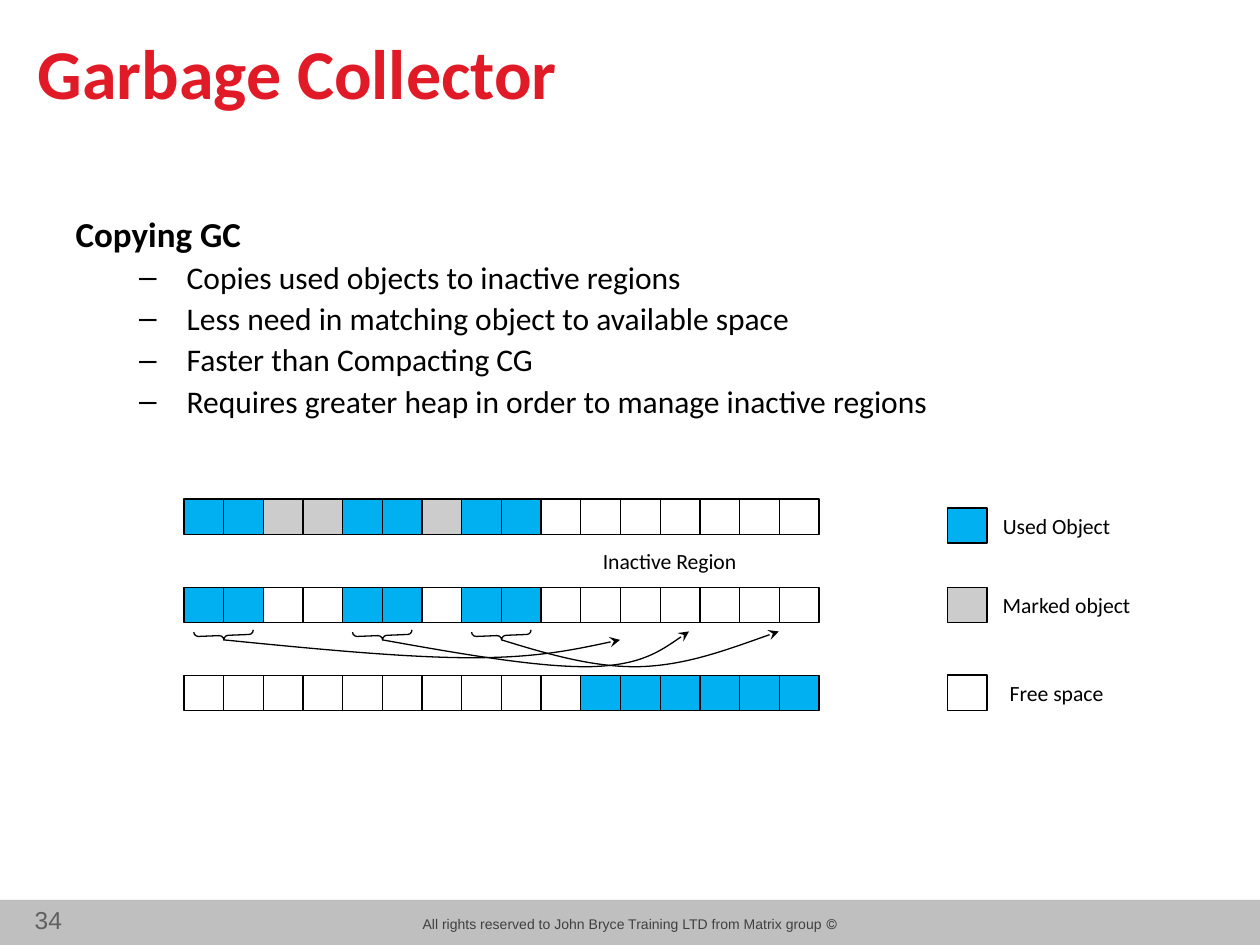
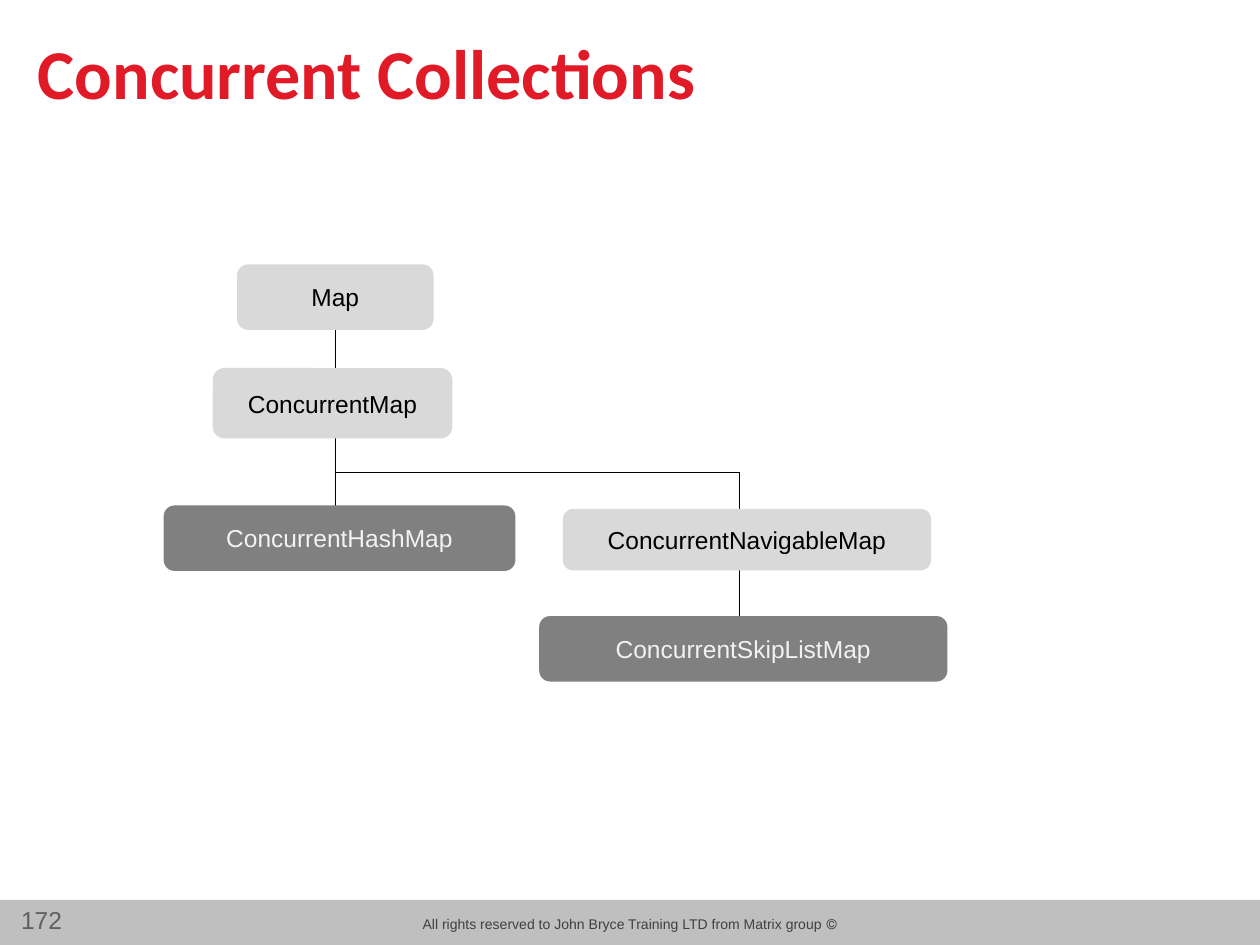
from dataclasses import dataclass

from lxml.etree import SubElement as Sub
from pptx import Presentation
from pptx.dml.color import RGBColor as RGB
from pptx.enum.shapes import MSO_CONNECTOR as Link, MSO_SHAPE as Kind
from pptx.enum.text import MSO_ANCHOR as Anchor, MSO_AUTO_SIZE as Fit, PP_ALIGN as Align
from pptx.oxml.ns import qn
from pptx.util import Cm, Pt


@dataclass(frozen=True)
class Theme:
    red: str = "E01A26"
    black: str = "000000"
    white: str = "FFFFFF"
    band: str = "BFBFBF"
    note: str = "404040"
    number: str = "606060"
    used: str = "00B0F0"
    marked: str = "CCCCCC"
    light: str = "D9D9D9"
    dark: str = "808080"
    pale: str = "F2F2F2"
    sans: str = "Calibri"
    plain: str = "Arial"
    title: float = 40
    head: float = 20
    item: float = 18
    node: float = 14
    label: float = 12.4
    small: float = 8
    line: float = 0.75


T = Theme()
COLORS = {"U": T.used, "M": T.marked, "F": T.white}

# Heap rows, in centimetres
LEFT, TOP = 3.71, 10.06
CELL_W, CELL_H = 0.8, 0.71
ROW_GAP = 1.78
ROWS = ("UUMMUUMUUFFFFFFF", "UUFFUUFUUFFFFFFF", "FFFFFFFFFFUUUUUU")

# First column of each moved pair, then the rest of its curve
MOVES = (
    (0, ((6.32, 13.08), (8.18, 13.26), (9.5, 13.26),
         (10.82, 13.26), (11.66, 13.08), (12.5, 12.9))),
    (4, ((9.27, 13.18), (10.87, 13.46), (11.91, 13.44),
         (12.93, 13.41), (13.41, 13.06), (13.89, 12.73))),
    (7, ((11.02, 13.18), (11.96, 13.46), (12.9, 13.44),
         (13.84, 13.41), (14.76, 13.06), (15.7, 12.73))),
)

# Kind, top of the box, middle of the label
LEGEND = (
    ("U", 10.24, 21.3, "Used Object"),
    ("M", 11.84, 21.5, "Marked object"),
    ("F", 13.61, 21.3, "Free space"),
)

# Name, box, whether it is a class that can be used directly
NODES = (
    ("Map", (4.78, 5.33, 3.96, 1.32), False),
    ("ConcurrentMap", (4.29, 7.42, 4.83, 1.42), False),
    ("ConcurrentHashMap", (3.3, 10.19, 7.09, 1.32), True),
    ("ConcurrentNavigableMap", (11.35, 10.26, 7.42, 1.24), False),
    ("ConcurrentSkipListMap", (10.87, 12.42, 8.23, 1.32), True),
)
TRUNK, BRANCH, FORK = 6.76, 14.91, 9.53
LINKS = (
    (TRUNK, 6.38, TRUNK, 10.31),
    (TRUNK, FORK, BRANCH, FORK),
    (BRANCH, FORK, BRANCH, 10.85),
    (BRANCH, 11.35, BRANCH, 12.42),
)


def cms(*sizes):
    return [Cm(size) for size in sizes]


def add_run(para, text, size, color, font=T.sans, bold=False):
    run = para.add_run()
    run.text = text
    run.font.name = font
    run.font.size = Pt(size)
    run.font.bold = bold
    run.font.color.rgb = RGB.from_string(color)


def move(shape, box):
    shape.left, shape.top, shape.width, shape.height = cms(*box)


def draw_line(line, color=T.black):
    line.color.rgb = RGB.from_string(color)
    line.width = Pt(T.line)


def add_box(slide, box, fill, kind=Kind.RECTANGLE, edge=False):
    """Add a flat preset shape; a fill of None leaves it empty."""
    shape = slide.shapes.add_shape(kind, *cms(*box))
    shape.shadow.inherit = False
    if fill:
        shape.fill.solid()
        shape.fill.fore_color.rgb = RGB.from_string(fill)
    else:
        shape.fill.background()
    if edge:
        draw_line(shape.line)
    else:
        shape.line.fill.background()
    return shape


def add_text(slide, box, text, size, color, font=T.sans,
             align=Align.CENTER, anchor=Anchor.MIDDLE):
    frame = slide.shapes.add_textbox(*cms(*box)).text_frame
    frame.word_wrap = True
    frame.vertical_anchor = anchor
    para = frame.paragraphs[0]
    para.alignment = align
    add_run(para, text, size, color, font)
    return para


def add_label(slide, mid, top, text):
    add_text(slide, (mid - 2, top, 4, CELL_H), text, T.label, T.black)


def add_link(slide, ends):
    link = slide.shapes.add_connector(Link.STRAIGHT, *cms(*ends))
    draw_line(link.line)
    Sub(link._element.spPr, qn("a:effectLst"))


def add_curve(slide, start, points):
    """Draw an arrow of cubic curves; each takes three points."""
    form = slide.shapes.build_freeform(*cms(*start))
    form.add_line_segments([cms(*point) for point in points], close=False)
    curve = form.convert_to_shape()
    curve.shadow.inherit = False
    curve.fill.background()
    draw_line(curve.line)
    Sub(curve.line._get_or_add_ln(), qn("a:tailEnd"), type="stealth")

    route = next(curve._element.iter(qn("a:path")))
    steps = route.findall(qn("a:lnTo"))
    for first in range(0, len(steps), 3):
        cubic = Sub(route, qn("a:cubicBezTo"))
        for step in steps[first:first + 3]:
            cubic.append(step[0])
            route.remove(step)


def add_list(body, head, items):
    move(body, (1.27, 4.15, 22.86, 13.59))
    frame = body.text_frame
    frame.auto_size = Fit.NONE
    para = frame.paragraphs[0]
    props = para._p.get_or_add_pPr()
    props.set("marL", "0")
    props.set("indent", "0")
    Sub(props, qn("a:buNone"))
    para.space_before = Pt(0)
    add_run(para, head, T.head, T.black, bold=True)
    for item in items:
        para = frame.add_paragraph()
        para.level = 1
        props = para._p.get_or_add_pPr()
        props.set("marL", str(Cm(2.24)))
        props.set("indent", str(Cm(-0.96)))
        Sub(props, qn("a:buChar"), char="‒")
        para.space_before = Pt(2)
        add_run(para, item, T.item, T.black)


def add_slide(deck, layout, title, number):
    """Start a slide with the shared title style, band and footer."""
    slide = deck.slides.add_slide(deck.slide_layouts[layout])
    add_box(slide, (0, 18.14, 25.4, 0.91), T.band)
    note = add_text(slide, (8.08, 18.34, 9.24, 0.61),
                    "© All rights reserved to John Bryce Training LTD from Matrix group",
                    T.small, T.note, T.plain, anchor=Anchor.TOP)
    note._p.get_or_add_pPr().set("rtl", "1")
    add_text(slide, (0, 18.11, 1.5, 0.86), str(number), T.node, T.number,
             T.plain, Align.RIGHT, Anchor.TOP)
    head = slide.shapes.title
    move(head, (0.51, 0.36, 20.4, 2.16))
    frame = head.text_frame
    frame.auto_size = Fit.NONE
    frame.vertical_anchor = Anchor.MIDDLE
    para = frame.paragraphs[0]
    para.alignment = Align.LEFT
    add_run(para, title, T.title, T.red, bold=True)
    return slide


def add_cell(slide, left, top, kind):
    add_box(slide, (left, top, CELL_W, CELL_H), COLORS[kind], edge=True)


def add_brace(slide, mid):
    wide, high = 0.18, 1.2
    box = (mid - wide / 2, 12.81 - high / 2, wide, high)
    brace = add_box(slide, box, None, Kind.LEFT_BRACE, edge=True)
    brace.rotation = 267.8
    brace.adjustments[0] = 0.5


def add_heap(slide):
    for row, kinds in enumerate(ROWS):
        for col, kind in enumerate(kinds):
            add_cell(slide, LEFT + col * CELL_W, TOP + row * ROW_GAP, kind)
    for col, points in MOVES:
        mid = LEFT + (col + 1) * CELL_W
        add_brace(slide, mid)
        add_curve(slide, (mid, 12.9), points)
    add_label(slide, 13.5, 10.95, "Inactive Region")


def add_legend(slide):
    for kind, top, mid, text in LEGEND:
        add_cell(slide, 19.1, top, kind)
        add_label(slide, mid, top, text)


def add_node(slide, name, box, solid):
    node = add_box(slide, box, T.dark if solid else T.light,
                   Kind.FLOWCHART_ALTERNATE_PROCESS)
    frame = node.text_frame
    frame.vertical_anchor = Anchor.MIDDLE
    para = frame.paragraphs[0]
    para.alignment = Align.CENTER
    add_run(para, name, T.node, T.pale if solid else T.black, T.plain)


def main():
    deck = Presentation()
    deck.slide_width, deck.slide_height = cms(25.4, 19.05)

    slide = add_slide(deck, 1, "Garbage Collector", 34)
    add_list(slide.placeholders[1], "Copying GC", (
        "Copies used objects to inactive regions",
        "Less need in matching object to available space",
        "Faster than Compacting CG",
        "Requires greater heap in order to manage inactive regions",
    ))
    add_heap(slide)
    add_legend(slide)

    slide = add_slide(deck, 5, "Concurrent Collections", 172)
    for ends in LINKS:
        add_link(slide, ends)
    for name, box, solid in NODES:
        add_node(slide, name, box, solid)

    deck.save("out.pptx")


if __name__ == "__main__":
    main()
